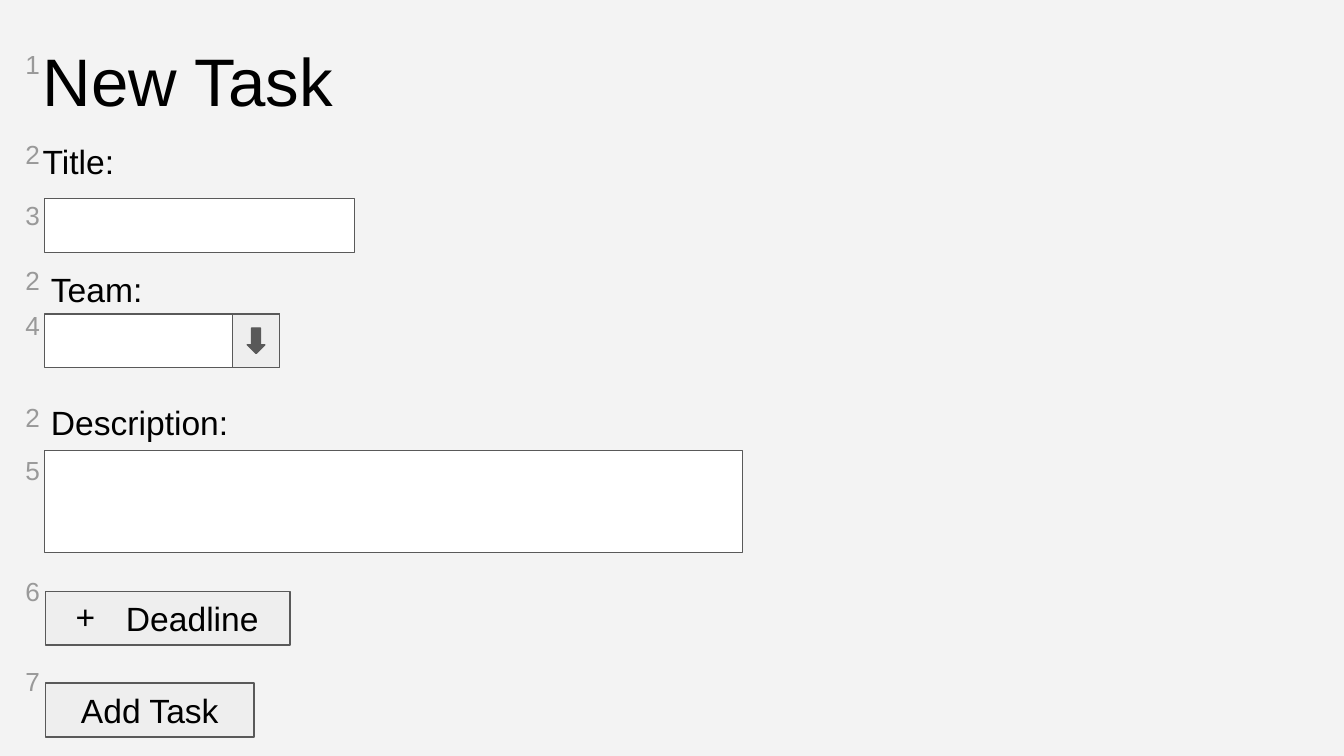
"""Build a wireframe slide of a "New Task" form with numbered fields."""
from lxml import etree
from pptx import Presentation
from pptx.dml.color import RGBColor
from pptx.enum.shapes import MSO_SHAPE
from pptx.enum.text import MSO_ANCHOR, PP_ALIGN
from pptx.oxml.ns import qn
from pptx.util import Pt

RECTANGLE, DOWN_ARROW = MSO_SHAPE.RECTANGLE, MSO_SHAPE.DOWN_ARROW
TOP, MIDDLE = MSO_ANCHOR.TOP, MSO_ANCHOR.MIDDLE
LEFT, CENTER = PP_ALIGN.LEFT, PP_ALIGN.CENTER
BLACK = RGBColor(0x00, 0x00, 0x00)
WHITE = RGBColor(0xFF, 0xFF, 0xFF)
PAGE_GRAY = RGBColor(0xF3, 0xF3, 0xF3)
BUTTON_GRAY = RGBColor(0xEE, 0xEE, 0xEE)
OUTLINE_GRAY = RGBColor(0x59, 0x59, 0x59)
NUMBER_GRAY = RGBColor(0x99, 0x99, 0x99)

prs = Presentation()
prs.slide_width, prs.slide_height = Pt(720), Pt(405)
slide = prs.slides.add_slide(prs.slide_layouts[6])
slide.background.fill.solid()
slide.background.fill.fore_color.rgb = PAGE_GRAY


def write(shape, text, size, color, anchor=TOP, align=LEFT):
    frame = shape.text_frame
    frame.word_wrap = True
    frame.vertical_anchor = anchor
    frame.margin_left = frame.margin_right = Pt(7.2)
    frame.margin_top = frame.margin_bottom = Pt(7.2)
    paragraph = frame.paragraphs[0]
    paragraph.text = text
    paragraph.alignment = align
    paragraph.font.name = "Arial"
    paragraph.font.size = Pt(size)
    paragraph.font.color.rgb = color
    return paragraph


def add_box(left, top, width, height, fill, kind=RECTANGLE):
    box = slide.shapes.add_shape(kind, Pt(left), Pt(top), Pt(width), Pt(height))
    box.shadow.inherit = False
    box.fill.solid()
    box.fill.fore_color.rgb = fill
    box.line.color.rgb = OUTLINE_GRAY
    box.line.width = Pt(0.75)
    return box


for text, left, top, width, size in [
    ("New Task", 15.8, 13.7, 338.4, 36),
    ("Title:", 15.8, 68.4, 193, 18),
    ("Team:", 20.2, 136.8, 193, 18),
    ("Description:", 20.2, 208, 214.6, 18),
]:
    label = slide.shapes.add_textbox(Pt(left), Pt(top), Pt(width), Pt(54.7))
    write(label, text, size, BLACK)

for top, width, height in [(106.4, 166, 28.8), (168.3, 126, 28.8), (241.2, 373.9, 54.8)]:
    add_box(23.8, top, width, height, WHITE)

add_box(124.6, 168.3, 25.2, 28.8, BUTTON_GRAY)
add_box(132.5, 175.7, 9.4, 13.7, OUTLINE_GRAY, DOWN_ARROW)

deadline_button = add_box(24.4, 316.8, 131, 28.8, BUTTON_GRAY)
deadline = write(deadline_button, "Deadline", 18, BLACK, MIDDLE)
properties = deadline._p.get_or_add_pPr()
properties.set("marL", str(Pt(36)))
properties.set("indent", str(Pt(-27)))
bullet_color = etree.Element(qn("a:buClr"))
etree.SubElement(bullet_color, qn("a:srgbClr"), val=str(BLACK))
bullet_font = etree.Element(qn("a:buFont"), typeface="Arial")
bullet = etree.Element(qn("a:buChar"), char="+")
for position, element in enumerate([bullet_color, bullet_font, bullet]):
    properties.insert(position, element)

add_task_button = add_box(24.4, 366, 111.6, 28.8, BUTTON_GRAY)
write(add_task_button, "Add Task", 18, BLACK, MIDDLE, CENTER)

for number, top in [
    ("1", 18.7), ("2", 67), ("3", 99.4), ("2", 134.6), ("4", 158.4),
    ("2", 208), ("5", 236.2), ("6", 301), ("7", 349.2),
]:
    marker = slide.shapes.add_textbox(Pt(6.5), Pt(top), Pt(35.3), Pt(38.2))
    write(marker, number, 14, NUMBER_GRAY)

prs.save("out.pptx")
